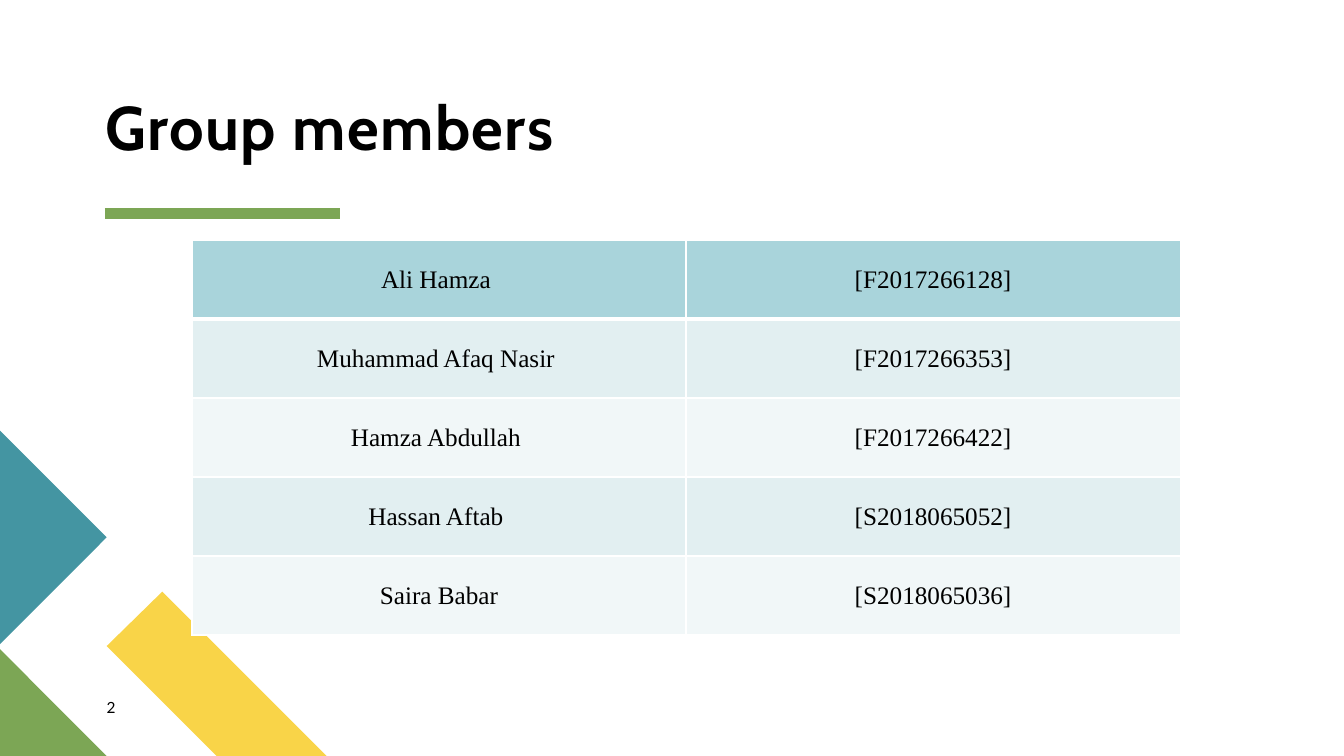
from pptx import Presentation
from pptx.dml.color import RGBColor as RGB
from pptx.enum.shapes import MSO_CONNECTOR as LINK
from pptx.enum.text import MSO_ANCHOR as ANCHOR, MSO_AUTO_SIZE as FIT, PP_ALIGN as ALIGN
from pptx.oxml.ns import qn
from pptx.util import Cm, Pt
from lxml.etree import SubElement

HUES = {
    "yellow": "F9D448", "green": "7CA655", "teal": "4495A2",
    "black": "000000", "white": "FFFFFF",
    "head": "A9D4DB", "odd": "E2EFF1", "even": "F1F7F8",
}


def hue(name):
    return RGB.from_string(HUES[name])


def write(frame, text, font, size, bold=False):
    """Add one run to the first paragraph and return both."""
    para = frame.paragraphs[0]
    run = para.add_run()
    run.text = text
    run.font.name = font
    run.font.size = Pt(size)
    run.font.bold = bold
    run.font.color.rgb = hue("black")
    return para, run


deck = Presentation()
deck.slide_width, deck.slide_height = Cm(33.87), Cm(19.05)
slide = deck.slides.add_slide(deck.slide_layouts[5])
shapes = slide.shapes

# Corner decoration
corner = [
    ("yellow", [(8.23, 19.05), (5.46, 19.05), (2.69, 16.28), (4.09, 14.91)]),
    ("green", [(2.69, 19.05), (0, 19.05), (0, 16.36)]),
    ("teal", [(0, 10.85), (2.69, 13.54), (0, 16.23)]),
]
for name, points in corner:
    spots = [(Cm(x), Cm(y)) for x, y in points]
    path = shapes.build_freeform(*spots[0])
    path.add_line_segments(spots[1:], close=True)
    patch = path.convert_to_shape()
    patch.shadow.inherit = False
    patch.fill.solid()
    patch.fill.fore_color.rgb = hue(name)
    patch.line.fill.background()

# Title and its rule
title = shapes.title
title.left, title.top, title.width, title.height = Cm(2.67), Cm(2.44), Cm(13.72), Cm(1.7)
rule = shapes.add_connector(LINK.STRAIGHT, Cm(2.64), Cm(5.39), Cm(8.58), Cm(5.39))
rule.line.color.rgb = hue("green")
rule.line.width = Pt(8)
SubElement(rule._element.spPr, qn("a:effectLst"))

# Page number
page = shapes.add_textbox(Cm(2.69), Cm(17.58), Cm(1.45), Cm(0.69))
for box in (title, page):
    frame = box.text_frame
    frame.word_wrap = True
    frame.auto_size = FIT.NONE
    frame.margin_left = frame.margin_right = frame.margin_top = frame.margin_bottom = 0
write(page.text_frame, "2", "Lato", 11)
title.text_frame.vertical_anchor = ANCHOR.BOTTOM
para, run = write(title.text_frame, "Group members", "Cabin", 44, True)
para.alignment = ALIGN.LEFT
para.line_spacing = 0.9
run.font._element.set("spc", "100")

# Members table
members = [
    ("Ali Hamza ", "[F2017266128]"),
    ("Muhammad Afaq Nasir ", "[F2017266353]"),
    ("Hamza Abdullah ", "[F2017266422]"),
    ("Hassan Aftab ", "[S2018065052]"),
    ("Saira Babar", "[S2018065036]"),
]
high = Cm(1.99)
table = shapes.add_table(len(members), 2, Cm(4.84), Cm(6.05), Cm(24.9), high * len(members)).table
for r, member in enumerate(members):
    table.rows[r].height = high
    band = "head" if r == 0 else "odd" if r % 2 else "even"
    for c, text in enumerate(member):
        cell = table.cell(r, c)
        cell.vertical_anchor = ANCHOR.MIDDLE
        para, run = write(cell.text_frame, text, "Times New Roman", 18)
        para.alignment = ALIGN.CENTER
        props = cell._tc.get_or_add_tcPr()
        for side in "LRTB":
            thick = (r, side) in ((0, "B"), (1, "T"))
            edge = SubElement(props, qn(f"a:ln{side}"), w=str(Pt(3 if thick else 1)))
            paint = SubElement(edge, qn("a:solidFill"))
            SubElement(paint, qn("a:srgbClr"), val=HUES["white"])
        cell.fill.solid()
        cell.fill.fore_color.rgb = hue(band)

deck.save("out.pptx")
